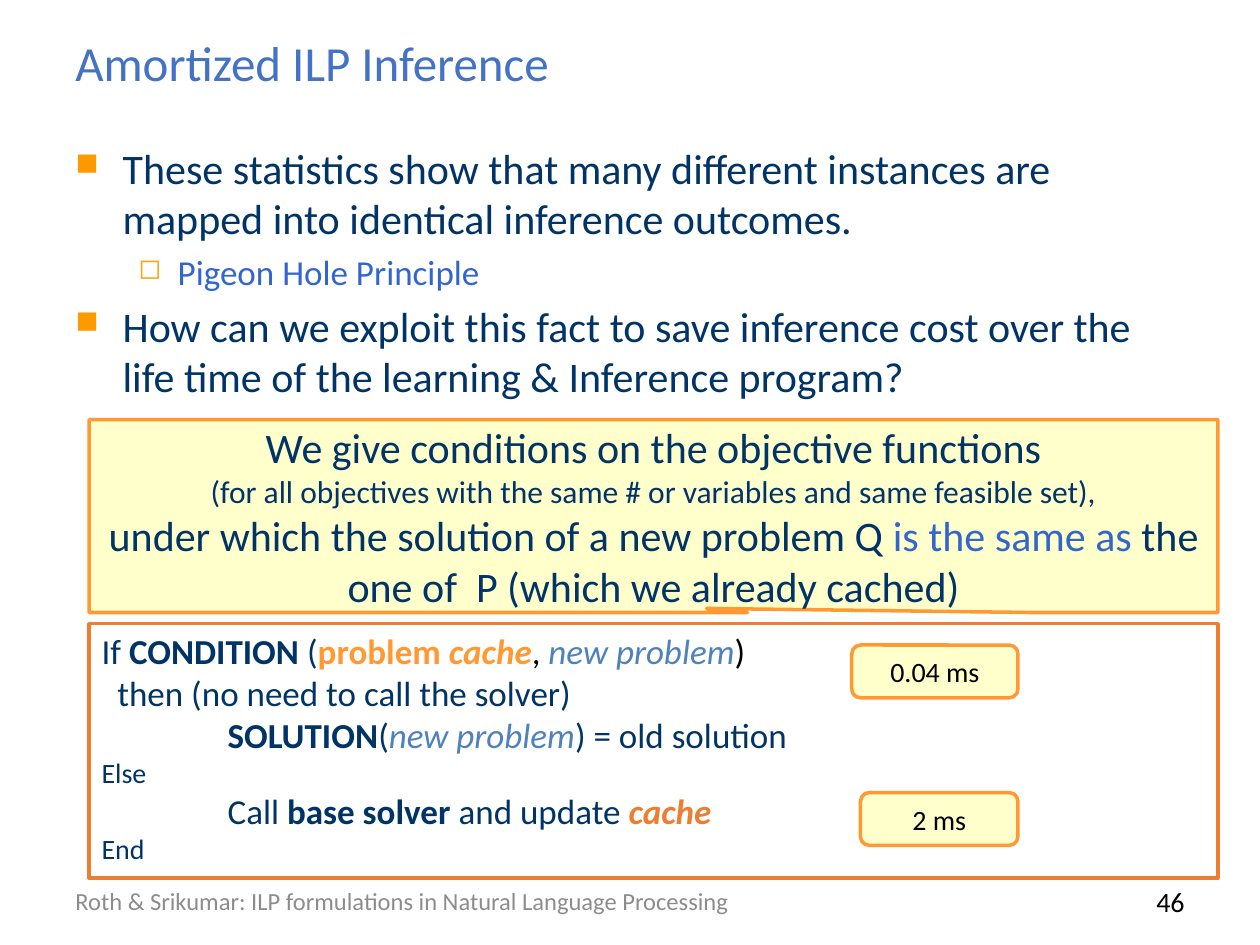
from lxml.etree import SubElement
from pptx import Presentation
from pptx.dml.color import RGBColor as Color
from pptx.enum.shapes import MSO_SHAPE as Shape
from pptx.enum.text import MSO_ANCHOR as Anchor, PP_ALIGN as Align
from pptx.oxml.ns import qn
from pptx.util import Pt

COLORS = {
    "title": "4472C4", "navy": "003366", "blue": "3366CC", "steel": "4F81BD",
    "orange": "FF9933", "rust": "ED7D31", "bullet": "FF9900", "gold": "FBA313",
    "cream": "FFFFCC", "white": "FFFFFF", "black": "000000", "gray": "8C8C8C",
}


def span(text, size=20, color="navy", bold=False, italic=False):
    return text, size, color, bold, italic


def line(*spans, indent=0, hanging=0, before=0, bullet=None):
    return spans, indent, hanging, before, bullet


class SlideBuilder:
    font = "Calibri"
    border = Pt(2)

    def __init__(self, page):
        self.page = page

    def fill_text(self, box, lines, align, anchor):
        frame = box.text_frame
        frame.word_wrap = True
        frame.vertical_anchor = anchor
        for number, (spans, indent, hanging, before, bullet) in enumerate(lines):
            para = frame.add_paragraph() if number else frame.paragraphs[0]
            para.alignment = align
            para.space_before = Pt(before)
            props = para._p.get_or_add_pPr()
            props.set("marL", str(Pt(indent)))
            props.set("indent", str(Pt(-hanging)))
            if bullet:
                self.bullet(props, *bullet)
            for text, size, color, bold, italic in spans:
                run = para.add_run()
                run.text = text
                run.font.name = self.font
                run.font.size = Pt(size)
                run.font.bold = bold
                run.font.italic = italic
                run.font.color.rgb = Color.from_string(COLORS[color])

    def bullet(self, props, mark, color, percent):
        fill = SubElement(props, qn("a:buClr"))
        SubElement(fill, qn("a:srgbClr"), val=COLORS[color])
        SubElement(props, qn("a:buSzPct"), val=str(percent * 1000))
        SubElement(props, qn("a:buChar"), char=mark)

    def text(self, place, *lines, align=Align.LEFT, anchor=Anchor.MIDDLE):
        box = self.page.shapes.add_textbox(*map(Pt, place))
        self.fill_text(box, lines, align, anchor)

    def panel(self, kind, place, *lines, fill="cream", edge="orange",
              align=Align.CENTER, anchor=Anchor.MIDDLE, adjust=()):
        box = self.page.shapes.add_shape(kind, *map(Pt, place))
        box.shadow.inherit = False
        box.fill.solid()
        box.fill.fore_color.rgb = Color.from_string(COLORS[fill])
        box.line.color.rgb = Color.from_string(COLORS[edge])
        box.line.width = self.border
        for index, value in enumerate(adjust):
            box.adjustments[index] = value
        self.fill_text(box, lines, align, anchor)


def main():
    deck = Presentation()
    deck.slide_width, deck.slide_height = Pt(720), Pt(540)
    builder = SlideBuilder(deck.slides.add_slide(deck.slide_layouts[6]))

    builder.text((36, 10.8, 648, 49), line(span("Amortized ILP Inference", 28, "title")))

    major = dict(indent=27, hanging=27, before=4.8, bullet=("■", "bullet", 75))
    minor = dict(indent=58.5, hanging=22.5, before=4, bullet=("◻", "gold", 80))
    builder.text(
        (36, 77.8, 648, 404.6),
        line(span("These statistics show that many different instances are "
                  "mapped into identical inference outcomes.", 24), **major),
        line(span("Pigeon Hole Principle", color="blue"), **minor),
        line(span("How can we exploit this fact to save inference cost over the "
                  "life time of the learning & Inference program?", 24), **major),
        anchor=Anchor.TOP)

    builder.panel(
        Shape.RECTANGULAR_CALLOUT, (51, 239.8, 645, 110.2),
        line(span("We give conditions on the objective functions", 24)),
        line(span("(for all objectives with the same # or variables "
                  "and same feasible set),", 18)),
        line(span("under which the solution of a new problem Q ", 24),
             span("is the same as ", 24, "blue"),
             span("the one of  P (which we already cached)", 24)),
        adjust=(0.047, 0.479))

    new_problem = span("new problem", color="steel", italic=True)
    builder.panel(
        Shape.RECTANGLE, (51, 356.4, 645, 145.4),
        line(span("If "), span("CONDITION ", bold=True), span("("),
             span("problem ", color="orange", bold=True),
             span("cache", color="orange", bold=True, italic=True),
             span(", ", color="black"), new_problem, span(")", color="black")),
        line(span("then (no need to call the solver)"), indent=9),
        line(span("SOLUTION", bold=True), span("("), new_problem,
             span(") = old solution"), indent=72),
        line(span("Else", 16)),
        line(span("Call "), span("base solver ", bold=True), span("and update "),
             span("cache", color="rust", bold=True, italic=True), indent=72),
        line(span("End", 16)),
        fill="white", edge="rust", align=Align.LEFT, anchor=Anchor.TOP)

    for left, top, width, time in ((486.7, 368.6, 95, "0.04 ms"),
                                   (491.7, 452.9, 90, "2 ms")):
        builder.panel(Shape.ROUNDED_RECTANGLE, (left, top, width, 30.2),
                      line(span(time, 16, "black")))

    builder.text((36, 500.4, 437.8, 28.8), line(span(
        "Roth & Srikumar: ILP formulations in Natural Language Processing", 14, "gray")))
    builder.text((516.2, 500.4, 167.8, 28.8), line(span("46", 16, "black")),
                 align=Align.RIGHT)

    deck.save("out.pptx")


if __name__ == "__main__":
    main()
